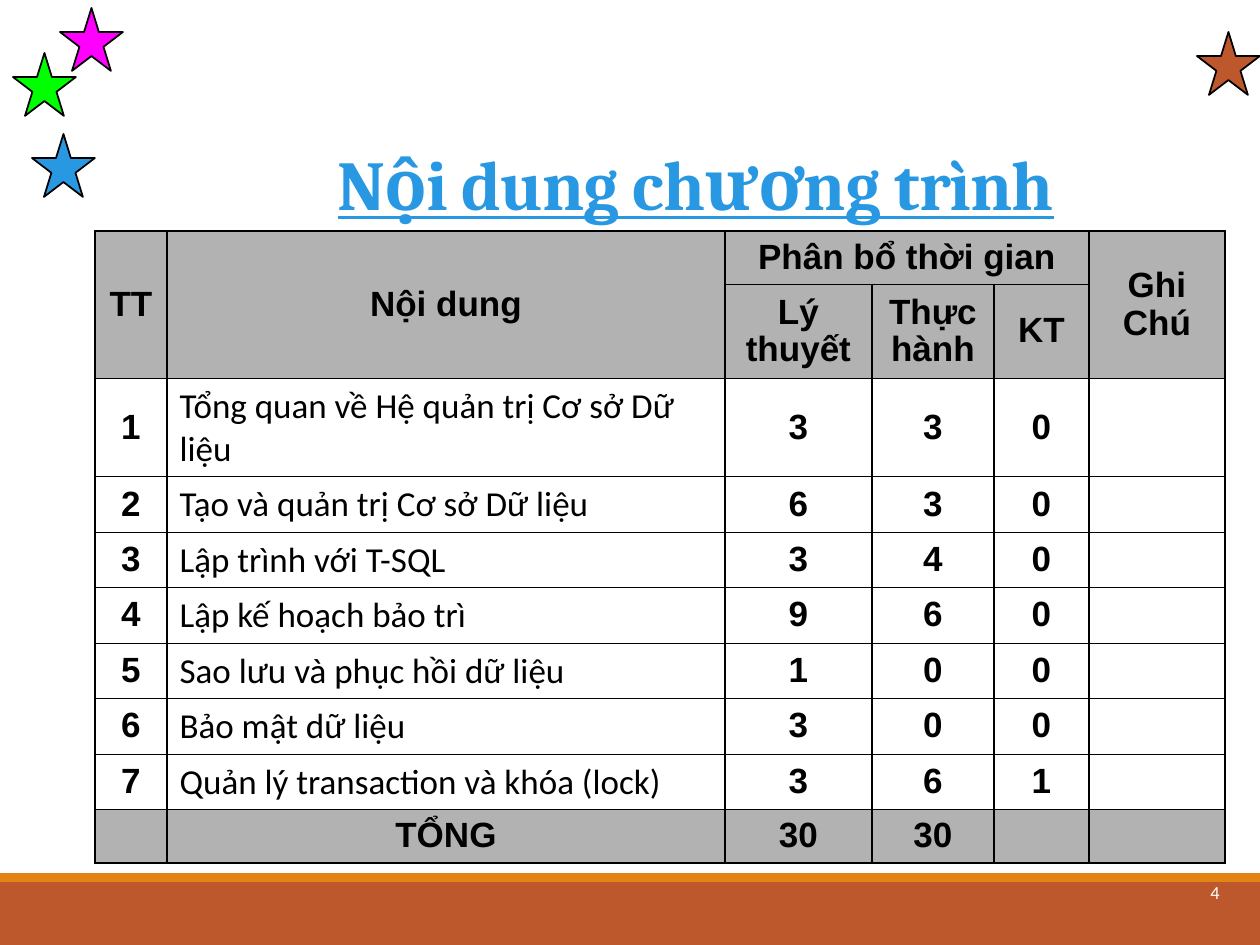
import pptx
import pptx.util
import pptx.dml.color
import pptx.enum.shapes
import pptx.enum.text
import pptx.oxml.ns
import lxml.etree

SCALE = 914400 / 126
COLORS = {
    "rust": "BD582C", "orange": "E48312", "blue": "2998E3", "green": "00FF00",
    "magenta": "FF00FF", "gray": "B2B2B2", "black": "000000", "white": "FFFFFF",
}
ALIGN = pptx.enum.text.PP_ALIGN
ANCHOR = pptx.enum.text.MSO_ANCHOR
SHAPE = pptx.enum.shapes.MSO_SHAPE

COLUMN_WIDTHS = [72, 558, 147, 122, 95, 136]
ROW_HEIGHTS = [51, 92, 98, 56, 55, 56, 55, 56, 55, 52]
HEADER = [
    ["TT", "Nội dung", "Phân bổ thời gian", "", "", "Ghi\nChú"],
    ["", "", "Lý\nthuyết", "Thực\nhành", "KT", ""],
]
TOPICS = [
    ["Tổng quan về Hệ quản trị Cơ sở Dữ liệu", "3", "3", "0"],
    ["Tạo và quản trị Cơ sở Dữ liệu", "6", "3", "0"],
    ["Lập trình với T-SQL", "3", "4", "0"],
    ["Lập kế hoạch bảo trì", "9", "6", "0"],
    ["Sao lưu và phục hồi dữ liệu", "1", "0", "0"],
    ["Bảo mật dữ liệu", "3", "0", "0"],
    ["Quản lý transaction và khóa (lock)", "3", "6", "1"],
]
TOTAL = ["", "TỔNG", "30", "30", "", ""]
MERGES = [(0, 0, 1, 0), (0, 1, 1, 1), (0, 2, 0, 4), (0, 5, 1, 5)]


def px(length):
    """Turn px into EMU."""
    return pptx.util.Emu(round(length * SCALE))


def color(name):
    """Look up a named colour."""
    return pptx.dml.color.RGBColor.from_string(COLORS[name])


def style_text(frame, font, size, tint, align, bold=False, spacing=1.0):
    """Format every paragraph and run of a text frame."""
    for para in frame.paragraphs:
        para.alignment = align
        para.line_spacing = spacing
        for span in para.runs:
            span.font.name = font
            span.font.size = pptx.util.Pt(size)
            span.font.bold = bold
            span.font.color.rgb = color(tint)


def add_solid(page, kind, box, fill, outlined=False):
    """Add a flat preset shape."""
    shape = page.shapes.add_shape(kind, *map(px, box))
    shape.shadow.inherit = False
    shape.fill.solid()
    shape.fill.fore_color.rgb = color(fill)
    if outlined:
        shape.line.color.rgb = color("black")
        shape.line.width = pptx.util.Pt(1)
    else:
        shape.line.fill.background()


def add_label(page, box, text, anchor):
    """Add a wrapping text box and return its frame."""
    left, top, width, height = map(px, box)
    frame = page.shapes.add_textbox(left, top, width, height).text_frame
    frame.word_wrap = True
    frame.vertical_anchor = anchor
    frame.text = text
    return frame


def add_stars(page, box):
    """Scatter the corner stars."""
    left, top, width, _ = box
    side = 63
    stars = [(width - side, 32, "rust"), (32, 134, "blue"),
             (13, 53, "green"), (60, 8, "magenta")]
    for x, y, fill in stars:
        add_solid(page, SHAPE.STAR_5_POINT, (left + x, top + y, side, side), fill, True)


def add_title(page, box):
    """Add the underlined heading."""
    frame = add_label(page, box, "Nội dung chương trình", ANCHOR.BOTTOM)
    style_text(frame, "Cambria", 40, "blue", ALIGN.CENTER, True, 0.85)
    span = frame.paragraphs[0].runs[0]
    span.font.underline = True
    span.font._element.set("spc", "-50")


def add_borders(cell):
    """Draw a thin black line on each side of a cell."""
    properties = cell._tc.get_or_add_tcPr()
    qn = pptx.oxml.ns.qn
    for index, side in enumerate(("a:lnL", "a:lnR", "a:lnT", "a:lnB")):
        line = lxml.etree.Element(qn(side), w="12700")
        fill = lxml.etree.SubElement(line, qn("a:solidFill"))
        lxml.etree.SubElement(fill, qn("a:srgbClr"), val=COLORS["black"])
        properties.insert(index, line)


def add_schedule(page, box):
    """Add the table of topics and hours."""
    topics = [[str(number), *topic, ""] for number, topic in enumerate(TOPICS, 1)]
    rows = HEADER + topics + [TOTAL]
    table = page.shapes.add_table(len(rows), len(COLUMN_WIDTHS), *map(px, box)).table
    for column, width in zip(table.columns, COLUMN_WIDTHS):
        column.width = px(width)
    for row, height in zip(table.rows, ROW_HEIGHTS):
        row.height = px(height)
    for r, texts in enumerate(rows):
        shaded = r < len(HEADER) or r == len(rows) - 1
        for c, text in enumerate(texts):
            cell = table.cell(r, c)
            cell.fill.solid()
            cell.fill.fore_color.rgb = color("gray" if shaded else "white")
            cell.text_frame.text = text
            if c == 1 and not shaded:
                cell.vertical_anchor = ANCHOR.TOP
                style_text(cell.text_frame, "Calibri", 20, "black", ALIGN.LEFT)
            else:
                cell.vertical_anchor = ANCHOR.MIDDLE
                style_text(cell.text_frame, "Arial", 20, "black", ALIGN.CENTER, True, 0.97)
            add_borders(cell)
    for top, left, bottom, right in MERGES:
        table.cell(top, left).merge(table.cell(bottom, right))


def add_footer(page, box):
    """Add the bottom bands and the page number."""
    left, top, width, height = box
    stripe = 9
    add_solid(page, SHAPE.RECTANGLE, (left, top + stripe, width, height - stripe), "rust")
    add_solid(page, SHAPE.RECTANGLE, (left, top, width, stripe), "orange")
    frame = add_label(page, (left + 970, top - 12, 262, 63), "4", ANCHOR.MIDDLE)
    style_text(frame, "Calibri", 10.5, "white", ALIGN.RIGHT)


def main():
    """Build and save the deck."""
    deck = pptx.Presentation()
    deck.slide_width, deck.slide_height = px(1260), px(945)
    page = deck.slides.add_slide(deck.slide_layouts[6])
    add_footer(page, (0, 873, 1260, 72))
    add_stars(page, (0, 0, 1260, 200))
    add_title(page, (159, 29, 1074, 202))
    add_schedule(page, (95, 231, sum(COLUMN_WIDTHS), sum(ROW_HEIGHTS)))
    deck.save("out.pptx")


if __name__ == "__main__":
    main()
